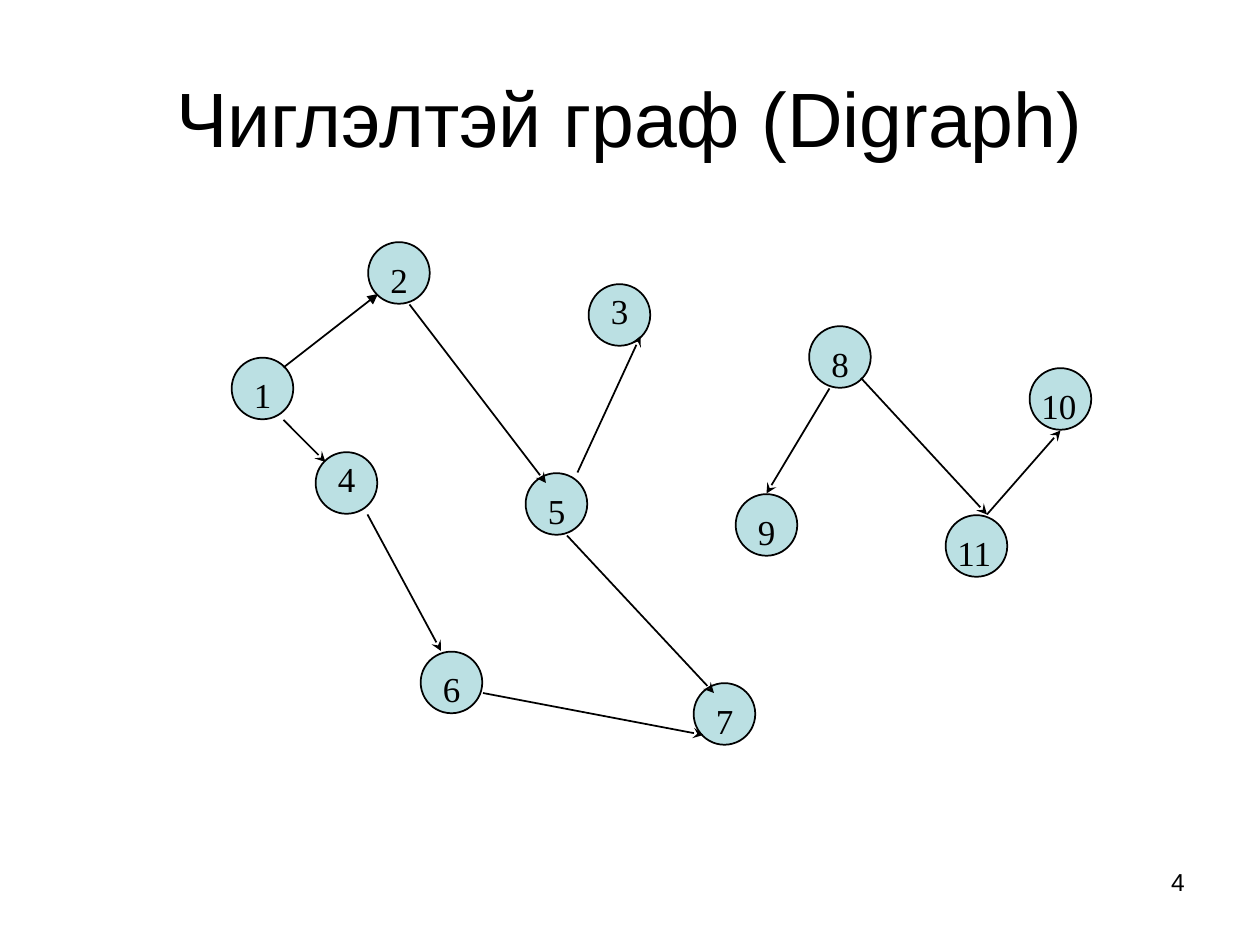
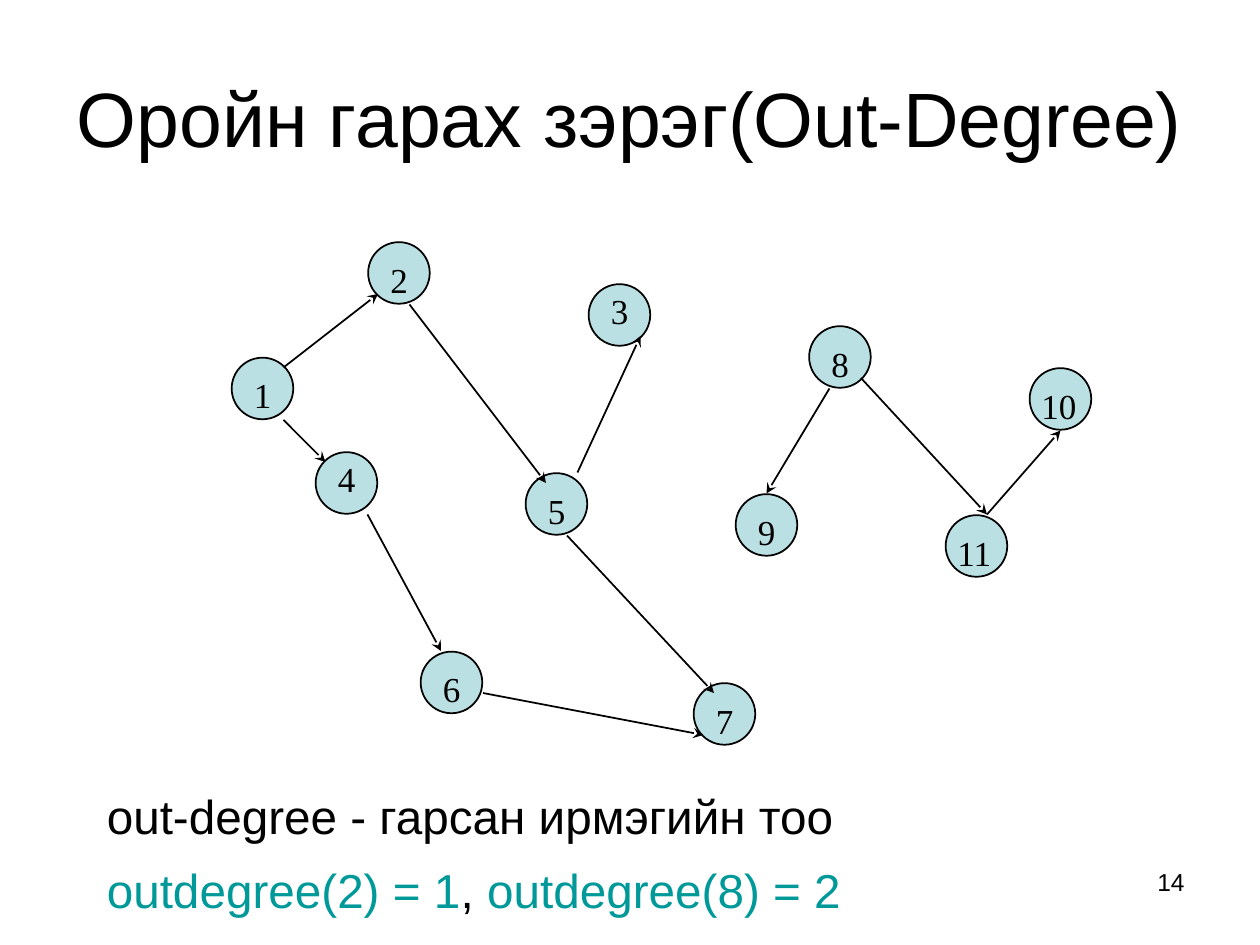
from pptx import Presentation
from pptx.dml.color import RGBColor
from pptx.enum.shapes import MSO_CONNECTOR as Connector, MSO_SHAPE as Shape
from pptx.enum.text import MSO_ANCHOR as Anchor, MSO_AUTO_SIZE as AutoSize, PP_ALIGN as Align
from pptx.oxml.ns import qn
from pptx.util import Pt
from lxml.etree import SubElement

BLACK = RGBColor(0x00, 0x00, 0x00)
NODE_BLUE = RGBColor(0xBB, 0xE0, 0xE3)
TEAL = RGBColor(0x00, 0x99, 0x99)
TITLE_ONLY = 5

# Circle corner on the 6 pt grid, and label offset from that corner
NODES = {
    "1": (132, 204, 6, 6), "2": (210, 138, 6, 6), "3": (336, 162, 6, 0),
    "8": (462, 186, 6, 6), "10": (588, 210, 0, 6), "4": (180, 258, 6, 0),
    "5": (300, 270, 6, 6), "9": (420, 282, 6, 6), "11": (540, 294, 0, 6),
    "6": (240, 372, 6, 6), "7": (396, 390, 6, 6),
}
LABEL_WIDTHS = {"10": 36, "11": 60}

# Start and end point of each directed edge
EDGES = {
    ("1", "2"): (162, 210, 216, 168),
    ("2", "5"): (234, 174, 312, 276),
    ("1", "4"): (162, 240, 186, 264),
    ("4", "6"): (210, 294, 252, 372),
    ("6", "7"): (276, 396, 402, 420),
    ("5", "3"): (330, 270, 366, 192),
    ("5", "7"): (324, 306, 408, 396),
    ("8", "9"): (474, 222, 438, 282),
    ("8", "11"): (492, 216, 564, 294),
    ("11", "10"): (564, 294, 606, 246),
}


class Deck:
    """Shared style and the slide being built."""

    def __init__(self):
        self.presentation = Presentation()
        self.presentation.slide_width = Pt(720)
        self.presentation.slide_height = Pt(540)
        self.slide = None

    def set_font(self, paragraph, size, name="Arial"):
        font = paragraph.font
        font.size, font.name = Pt(size), name
        font.color.rgb = BLACK

    def add_slide(self, title, number):
        layout = self.presentation.slide_layouts[TITLE_ONLY]
        self.slide = self.presentation.slides.add_slide(layout)
        shape = self.slide.shapes.title
        shape.left, shape.top, shape.width, shape.height = Pt(36), Pt(21.6), Pt(648), Pt(90)
        shape.text_frame.text = title
        shape.text_frame.auto_size = AutoSize.NONE
        shape.text_frame.vertical_anchor = Anchor.MIDDLE
        paragraph = shape.text_frame.paragraphs[0]
        paragraph.alignment = Align.CENTER
        self.set_font(paragraph, 44)
        page = self.add_text(self.slide.shapes, number, 516, 492, 168, 37.5, 14)
        page.alignment = Align.RIGHT

    def add_frame(self, shapes, left, top, width, height):
        box = shapes.add_textbox(Pt(left), Pt(top), Pt(width), Pt(height))
        box.text_frame.word_wrap = True
        return box.text_frame

    def add_text(self, shapes, text, left, top, width, height, size, name="Arial"):
        paragraph = self.add_frame(shapes, left, top, width, height).paragraphs[0]
        paragraph.text = text
        self.set_font(paragraph, size, name)
        return paragraph

    def add_node(self, shapes, left, top):
        circle = shapes.add_shape(Shape.OVAL, Pt(left + 0.4), Pt(top + 0.4), Pt(35.2), Pt(35.2))
        circle.shadow.inherit = False
        circle.fill.solid()
        circle.fill.fore_color.rgb = NODE_BLUE
        circle.line.color.rgb = BLACK
        circle.line.width = Pt(1)

    def add_arrow(self, shapes, points, head):
        arrow = shapes.add_connector(Connector.STRAIGHT, *map(Pt, points))
        arrow.line.color.rgb = BLACK
        arrow.line.width = Pt(1)
        SubElement(arrow.line._get_or_add_ln(), qn("a:tailEnd"), type=head)
        SubElement(arrow._element.spPr, qn("a:effectLst"))

    def add_graph(self, special_heads=None):
        shapes = self.slide.shapes.add_group_shape().shapes
        for left, top, _, _ in NODES.values():
            self.add_node(shapes, left, top)
        for edge, points in EDGES.items():
            self.add_arrow(shapes, points, (special_heads or {}).get(edge, "stealth"))
        for name, (left, top, dx, dy) in NODES.items():
            width = LABEL_WIDTHS.get(name, 18)
            self.add_text(shapes, name, left + dx, top + dy, width, 31, 20, "Times New Roman")

    def add_body(self, lines):
        frame = self.add_frame(self.slide.shapes, 54, 444, 612, 84)
        for index, runs in enumerate(lines):
            paragraph = frame.add_paragraph() if index else frame.paragraphs[0]
            paragraph.line_spacing = 1.06
            if index:
                paragraph.space_before = Pt(8)
            self.set_font(paragraph, 27.2)
            for text, color in runs:
                run = paragraph.add_run()
                run.text = text
                run.font.color.rgb = color


def main():
    deck = Deck()

    # Directed graph
    deck.add_slide("Чиглэлтэй граф (Digraph)", "4")
    deck.add_graph({("1", "2"): "triangle"})

    # Out-degree
    deck.add_slide("Оройн гарах зэрэг(Out-Degree)", "14")
    deck.add_body([
        [("out-degree - гарсан ирмэгийн тоо", BLACK)],
        [("outdegree(2) = 1", TEAL), (", ", BLACK), ("outdegree(8) = 2", TEAL)],
    ])
    deck.add_graph()

    deck.presentation.save("out.pptx")


if __name__ == "__main__":
    main()
